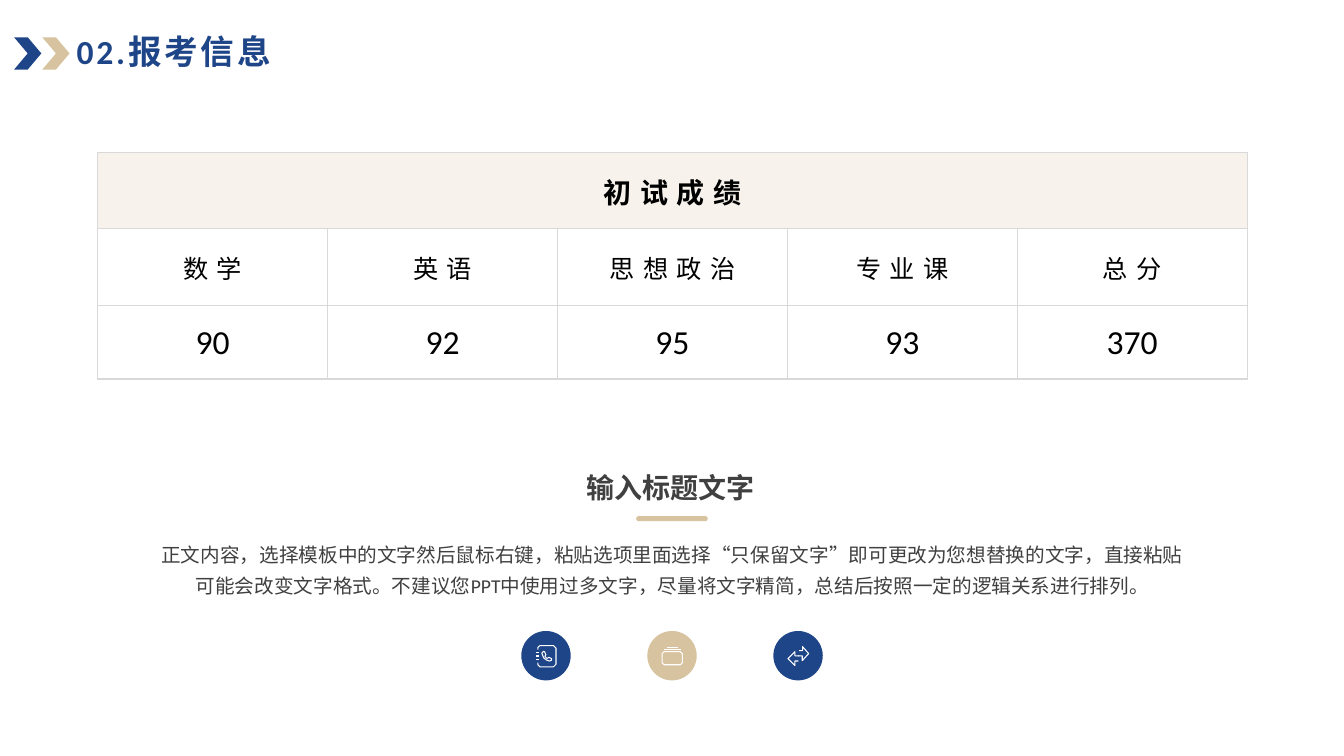
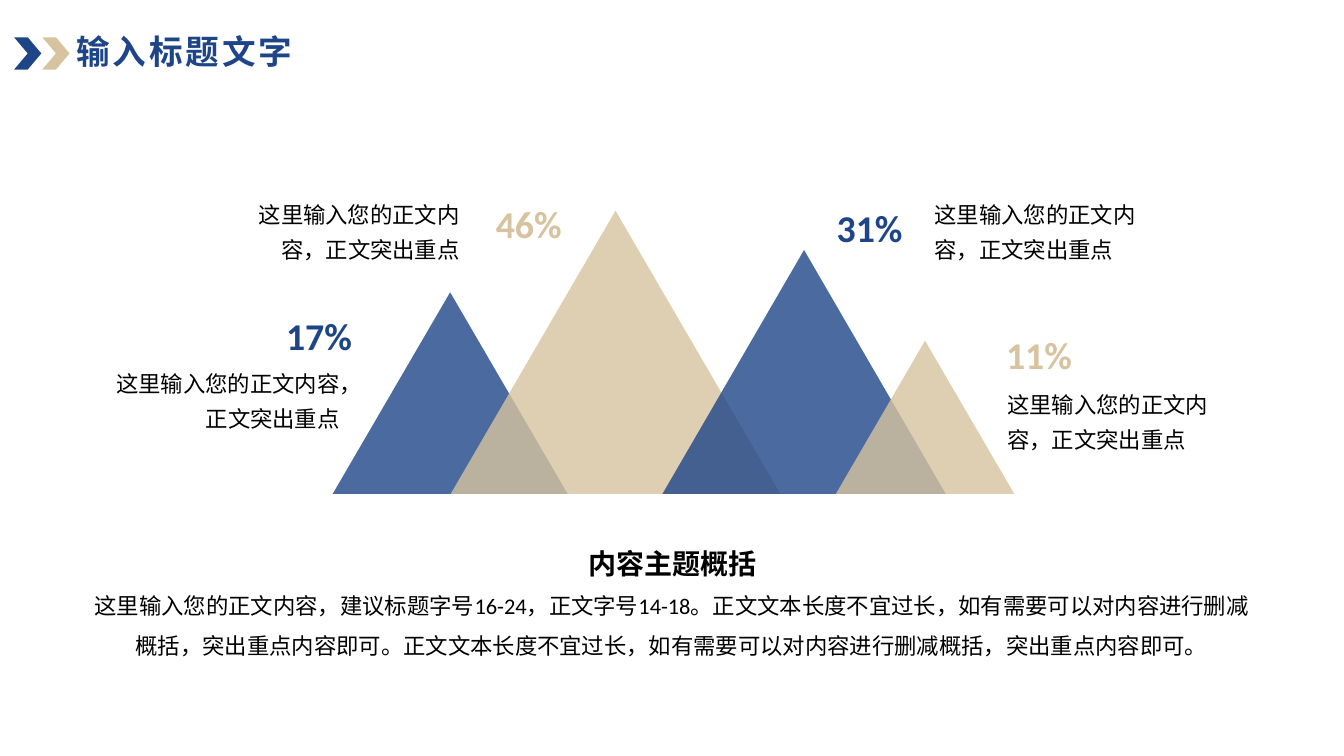
"""Build two slides: an exam score table and a chart of overlapping peaks."""
from lxml import etree
from pptx import Presentation
from pptx.dml.color import RGBColor
from pptx.enum.lang import MSO_LANGUAGE_ID
from pptx.enum.shapes import MSO_SHAPE
from pptx.enum.text import MSO_ANCHOR, MSO_AUTO_SIZE, PP_ALIGN
from pptx.oxml.ns import qn
from pptx.util import Emu, Pt

CHEVRON, OVAL, ROUNDED, TRIANGLE = (
    MSO_SHAPE.CHEVRON, MSO_SHAPE.OVAL, MSO_SHAPE.ROUNDED_RECTANGLE, MSO_SHAPE.ISOSCELES_TRIANGLE)
LEFT, CENTER, RIGHT = PP_ALIGN.LEFT, PP_ALIGN.CENTER, PP_ALIGN.RIGHT
MIDDLE = MSO_ANCHOR.MIDDLE
GROW = MSO_AUTO_SIZE.SHAPE_TO_FIT_TEXT
CHINESE = MSO_LANGUAGE_ID.SIMPLIFIED_CHINESE

PX = 9144
ICON_UNIT = PX / 10
SLIDE_WIDTH, SLIDE_HEIGHT = 1333, 750
FONT = "Calibri"
COLORS = {
    "navy": "1E4588", "sand": "D7C39F", "cream": "F7F3EC", "gray": "404040",
    "border": "D9D9D9", "black": "000000", "white": "FFFFFF",
}

NO_INSETS = (0, 0, 0, 0)
TEXT_INSETS = (10, 5, 10, 5)
STYLES = {
    "title": {"size": 24, "bold": True, "color": "navy", "spacing": 2, "insets": NO_INSETS,
              "frame": {"word_wrap": True, "vertical_anchor": MIDDLE},
              "paragraph": {"line_spacing": 0.9}},
    "heading": {"size": 20, "bold": True, "color": "gray", "insets": TEXT_INSETS,
                "frame": {"word_wrap": False, "auto_size": GROW}, "paragraph": {}},
    "body": {"size": 14, "bold": False, "color": "gray", "insets": TEXT_INSETS,
             "frame": {"word_wrap": True, "auto_size": GROW},
             "paragraph": {"alignment": CENTER, "line_spacing": 1.3}},
    "percent": {"size": 27, "bold": True, "color": "navy", "insets": TEXT_INSETS,
                "frame": {"word_wrap": False, "auto_size": GROW}, "paragraph": {}},
    "note": {"size": 16, "bold": False, "color": "black", "insets": NO_INSETS,
             "frame": {"word_wrap": True, "auto_size": GROW},
             "paragraph": {"line_spacing": 1.3}},
    "topic": {"size": 20, "bold": True, "color": "black", "insets": NO_INSETS,
              "frame": {"word_wrap": False, "auto_size": GROW},
              "paragraph": {"alignment": CENTER}},
    "summary": {"size": 16, "bold": False, "color": "black", "insets": TEXT_INSETS,
                "frame": {"word_wrap": True, "auto_size": GROW},
                "paragraph": {"alignment": CENTER, "line_spacing": 1.5}},
}
CELL_PARAGRAPH = {"alignment": CENTER}
ROW_STYLES = [
    {"size": 20, "bold": True, "color": "black", "spacing": 6, "paragraph": CELL_PARAGRAPH},
    {"size": 18, "bold": False, "color": "black", "spacing": 6, "paragraph": CELL_PARAGRAPH},
    {"size": 24, "bold": False, "color": "black", "paragraph": CELL_PARAGRAPH},
]

TITLE_CHEVRONS = [(42, "sand"), (14, "navy")]

SCORE_TITLE = "02.报考信息"
SCORE_ROWS = [
    ["初试成绩", "", "", "", ""],
    ["数学", "英语", "思想政治", "专业课", "总分"],
    ["90", "92", "95", "93", "370"],
]
ROW_HEIGHTS = [76, 76, 73]
COLUMN_WIDTH = 228
TABLE_LEFT, TABLE_TOP = 97, 151
CELL_MARGINS = {"margin_left": 7, "margin_top": 1, "margin_right": 7, "margin_bottom": 0}
SCORE_HEADING = "输入标题文字"
SCORE_BODY = ("正文内容，选择模板中的文字然后鼠标右键，粘贴选项里面选择“只保留文字”即可更改为您想替换的文字，"
              "直接粘贴可能会改变文字格式。不建议您PPT中使用过多文字，尽量将文字精简，"
              "总结后按照一定的逻辑关系进行排列。")

ICON_LEFT, ICON_TOP, ICON_SIZE, ICON_STEP = 517, 626, 49, 125
ICONS = [
    {"color": "navy", "offset": (14, 14), "outlines": [
        (False, [(25, 45), (25, 25), (45, 5), (180, 5), (205, 30), (205, 190),
                 (180, 215), (45, 215), (25, 195), (25, 175)]),
        (False, [(5, 75), (38, 75)]),
        (False, [(5, 108), (38, 108)]),
        (False, [(5, 145), (38, 145)]),
        (True, [(65, 80), (80, 62), (92, 66), (105, 95), (95, 112), (115, 132),
                (135, 122), (162, 135), (160, 150), (140, 158), (110, 148), (82, 125)]),
    ]},
    {"color": "sand", "offset": (14, 16), "outlines": [
        (True, [(28, 45), (188, 45), (207, 65), (207, 155), (188, 175), (28, 175),
                (6, 155), (6, 65)]),
        (False, [(25, 25), (190, 25)]),
        (False, [(55, 5), (165, 5)]),
    ]},
    {"color": "navy", "offset": (14, 15), "outlines": [
        (False, [(115, 97), (75, 97), (75, 55), (5, 125), (75, 193), (75, 148), (108, 148)]),
        (False, [(105, 97), (147, 97), (147, 145), (210, 75), (150, 5), (150, 45), (115, 45)]),
    ]},
]

PEAK_TITLE = "输入标题文字"
PEAK_NOTE = "这里输入您的正文内容，正文突出重点"
PEAK_BASE, PEAK_RATIO, PEAK_OPACITY = 490, 0.86, 80
PERCENT_SIZE = (86, 56)
NOTE_HEIGHT = 67
PEAKS = [
    {"percent": "17%", "color": "navy", "left": 330, "width": 233, "align": RIGHT,
     "percent_at": (273, 305), "note_at": (103, 359), "note_width": 234},
    {"percent": "46%", "color": "sand", "left": 447, "width": 327, "align": RIGHT,
     "percent_at": (481, 194), "note_at": (244, 192), "note_width": 212},
    {"percent": "31%", "color": "navy", "left": 657, "width": 281, "align": LEFT,
     "percent_at": (820, 198), "note_at": (927, 192), "note_width": 221},
    {"percent": "11%", "color": "sand", "left": 829, "width": 177, "align": LEFT,
     "percent_at": (988, 324), "note_at": (999, 380), "note_width": 221},
]
TOPIC = "内容主题概括"
SUMMARY = ("这里输入您的正文内容，建议标题字号16-24，正文字号14-18。正文文本长度不宜过长，"
           "如有需要可以对内容进行删减概括，突出重点内容即可。正文文本长度不宜过长，"
           "如有需要可以对内容进行删减概括，突出重点内容即可。")


def px(length):
    return Emu(round(length * PX))


def rgb(name):
    return RGBColor.from_string(COLORS[name])


def set_attributes(target, values):
    for name, value in values.items():
        setattr(target, name, value)


def write_text(text_frame, text, style):
    paragraph = text_frame.paragraphs[0]
    set_attributes(paragraph, style["paragraph"])
    run = paragraph.add_run()
    run.text = text
    set_attributes(run.font, {"name": FONT, "size": Pt(style["size"]), "bold": style["bold"],
                              "language_id": CHINESE})
    run.font.color.rgb = rgb(style["color"])
    if "spacing" in style:
        run._r.get_or_add_rPr().set("spc", str(style["spacing"] * 100))


def add_text(slide, box, text, style_name, color=None, align=None):
    style = dict(STYLES[style_name])
    if color:
        style["color"] = color
    if align is not None:
        style["paragraph"] = {**style["paragraph"], "alignment": align}
    text_frame = slide.shapes.add_textbox(*map(px, box)).text_frame
    sides = ("margin_left", "margin_top", "margin_right", "margin_bottom")
    set_attributes(text_frame, dict(zip(sides, map(px, style["insets"]))))
    set_attributes(text_frame, style["frame"])
    write_text(text_frame, text, style)


def add_shape(slide, kind, box, color, opacity=100):
    shape = slide.shapes.add_shape(kind, *map(px, box))
    shape.shadow.inherit = False
    shape.fill.solid()
    shape.fill.fore_color.rgb = rgb(color)
    shape.line.fill.background()
    if opacity < 100:
        fill_color = shape.element.spPr.find(".//" + qn("a:srgbClr"))
        etree.SubElement(fill_color, qn("a:alpha"), val=str(opacity * 1000))
    return shape


def add_icon(slide, left, top, outlines):
    builder = slide.shapes.build_freeform(*outlines[0][1][0], scale=ICON_UNIT)
    for index, (closed, points) in enumerate(outlines):
        if index:
            builder.move_to(*points[0])
        builder.add_line_segments(points[1:], close=closed)
    icon = builder.convert_to_shape(px(left), px(top))
    icon.shadow.inherit = False
    icon.fill.background()
    icon.line.color.rgb = rgb("white")
    icon.line.width = Pt(0.75)


def add_borders(cell):
    properties = cell._tc.get_or_add_tcPr()
    for side in ("lnL", "lnR", "lnT", "lnB"):
        line = etree.SubElement(properties, qn("a:" + side), w=str(Pt(1)))
        fill = etree.SubElement(line, qn("a:solidFill"))
        etree.SubElement(fill, qn("a:srgbClr"), val=COLORS["border"])


def add_score_table(slide):
    row_count, column_count = len(SCORE_ROWS), len(SCORE_ROWS[0])
    box = (TABLE_LEFT, TABLE_TOP, COLUMN_WIDTH * column_count, sum(ROW_HEIGHTS))
    table = slide.shapes.add_table(row_count, column_count, *map(px, box)).table
    set_attributes(table, {"first_row": False, "horz_banding": False})
    for column in table.columns:
        column.width = px(COLUMN_WIDTH)
    for row_index, texts in enumerate(SCORE_ROWS):
        table.rows[row_index].height = px(ROW_HEIGHTS[row_index])
        for column_index, text in enumerate(texts):
            cell = table.cell(row_index, column_index)
            add_borders(cell)
            set_attributes(cell, {name: px(value) for name, value in CELL_MARGINS.items()})
            cell.vertical_anchor = MIDDLE
            if row_index:
                cell.fill.background()
            else:
                cell.fill.solid()
                cell.fill.fore_color.rgb = rgb("cream")
            if text:
                write_text(cell.text_frame, text, ROW_STYLES[row_index])
    table.cell(0, 0).merge(table.cell(0, column_count - 1))


def add_titled_slide(presentation, title):
    slide = presentation.slides.add_slide(presentation.slide_layouts[6])
    for left, color in TITLE_CHEVRONS:
        add_shape(slide, CHEVRON, (left, 37, 27, 32), color)
    add_text(slide, (76, 29, 880, 48), title, "title")
    return slide


def build_score_slide(presentation):
    slide = add_titled_slide(presentation, SCORE_TITLE)
    add_score_table(slide)
    add_text(slide, (572, 462, 188, 44), SCORE_HEADING, "heading")
    add_text(slide, (148, 527, 1038, 71), SCORE_BODY, "body")
    underline = add_shape(slide, ROUNDED, (631, 512, 71, 5), "sand")
    underline.adjustments[0] = 0.5
    for index, icon in enumerate(ICONS):
        left = ICON_LEFT + index * ICON_STEP
        add_shape(slide, OVAL, (left, ICON_TOP, ICON_SIZE, ICON_SIZE), icon["color"])
        offset_x, offset_y = icon["offset"]
        add_icon(slide, left + offset_x, ICON_TOP + offset_y, icon["outlines"])


def build_peak_slide(presentation):
    slide = add_titled_slide(presentation, PEAK_TITLE)
    for peak in PEAKS:
        height = round(peak["width"] * PEAK_RATIO)
        box = (peak["left"], PEAK_BASE - height, peak["width"], height)
        add_shape(slide, TRIANGLE, box, peak["color"], PEAK_OPACITY)
    for peak in PEAKS:
        add_text(slide, peak["percent_at"] + PERCENT_SIZE, peak["percent"], "percent",
                 peak["color"], peak["align"])
        add_text(slide, peak["note_at"] + (peak["note_width"], NOTE_HEIGHT), PEAK_NOTE, "note",
                 align=peak["align"])
    add_text(slide, (78, 569, 1177, 87), SUMMARY, "summary")
    add_text(slide, (583, 542, 168, 34), TOPIC, "topic")


def main():
    presentation = Presentation()
    presentation.slide_width = px(SLIDE_WIDTH)
    presentation.slide_height = px(SLIDE_HEIGHT)
    build_score_slide(presentation)
    build_peak_slide(presentation)
    presentation.save("out.pptx")


if __name__ == "__main__":
    main()
